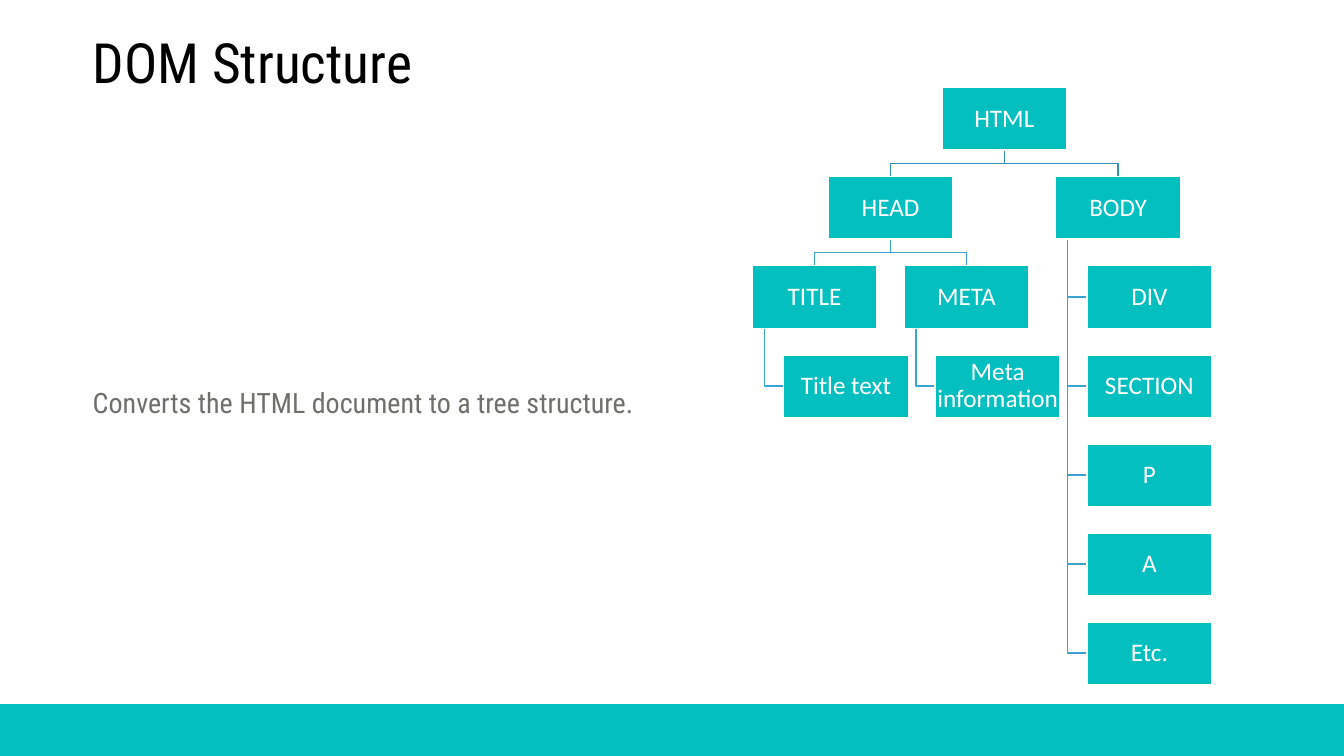
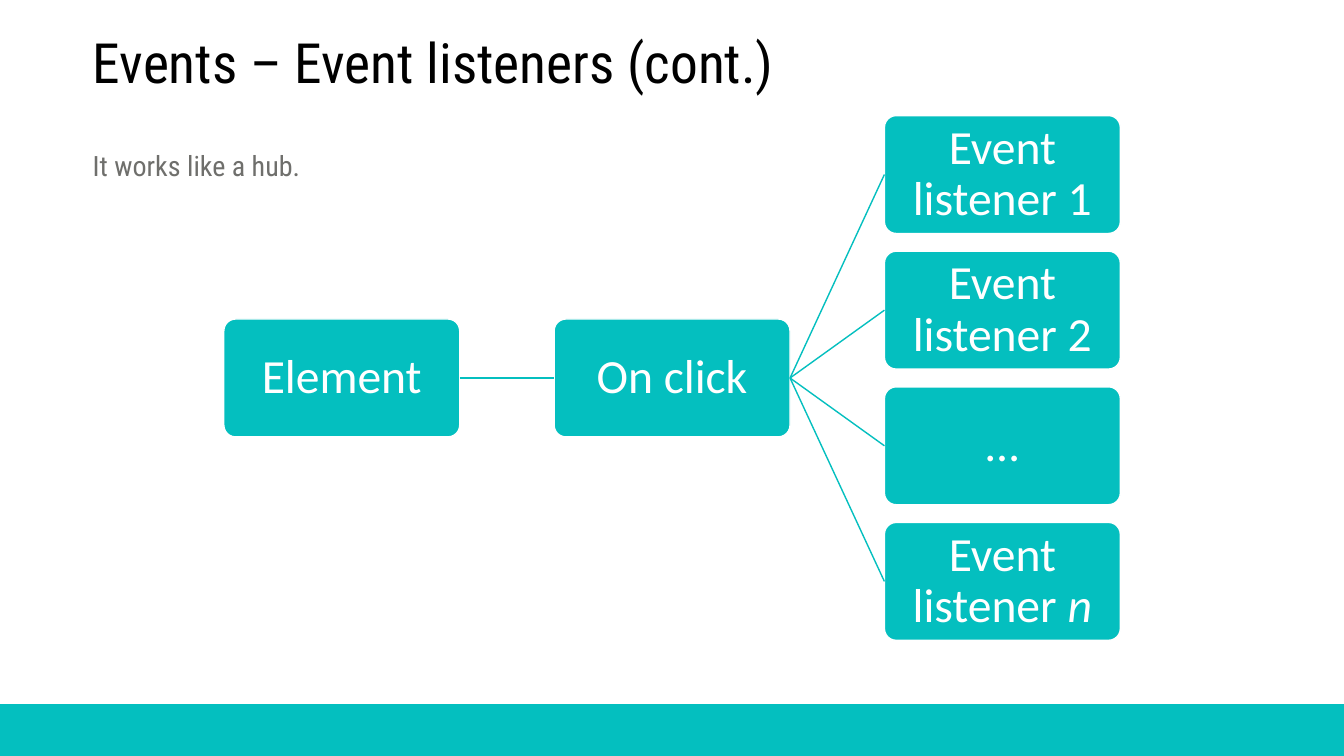
from pptx import Presentation
from pptx.dml.color import RGBColor
from pptx.enum.shapes import MSO_CONNECTOR as Conn, MSO_SHAPE as Shape
from pptx.enum.text import MSO_ANCHOR as Anchor, MSO_AUTO_SIZE as Auto, PP_ALIGN as Align
from pptx.oxml import parse_xml
from pptx.oxml.ns import nsdecls
from pptx.util import Inches, Pt

# Content: each node is a name and its children
TREE = ("HTML", [
    ("HEAD", [
        ("TITLE", [("Title text", [])]),
        ("META", [("Meta information", [])]),
    ]),
    ("BODY", [(name, []) for name in ("DIV", "SECTION", "P", "A", "Etc.")]),
])
# Each hub column holds boxes; a box is its plain text and an italic ending
HUB = [
    [("Element", "")],
    [("On click", "")],
    [("Event listener 1", ""), ("Event listener 2", ""), ("…", ""), ("Event listener ", "n")],
]

# Shared style
TEAL, WHITE, BLACK, GREY = "04BFBF", "FFFFFF", "000000", "6F6F6C"
TOP_LINK, LOW_LINK = "3591B9", "3CA4D2"
HEAD_FONT, BOX_FONT = "Roboto Condensed", "Calibri"
WIDE, HIGH, BAND = 13.33, 7.5, 0.51
LEFT = 0.92


def rgb(code):
    return RGBColor.from_string(code)


def place(shape, x, y, w, h):
    shape.left, shape.top, shape.width, shape.height = map(Inches, (x, y, w, h))


def style(frame, size, font, color, align, anchor, sides):
    """Format a whole text frame; sides are left, top, right and bottom insets."""
    frame.word_wrap, frame.auto_size = True, Auto.NONE
    frame.vertical_anchor = anchor
    (frame.margin_left, frame.margin_top,
     frame.margin_right, frame.margin_bottom) = map(Inches, sides)
    for para in frame.paragraphs:
        para.alignment, para.line_spacing = align, 0.9
        para.space_before = Pt(0)
        for run in para.runs:
            run.font.size, run.font.name = Pt(size), font
            run.font.color.rgb = rgb(color)


def add_box(slide, kind, x, y, w, h, edge):
    box = slide.shapes.add_shape(kind, *map(Inches, (x, y, w, h)))
    box.shadow.inherit = False
    box.fill.solid()
    box.fill.fore_color.rgb = rgb(TEAL)
    box.line.color.rgb = rgb(edge)
    box.line.width = Pt(1)
    return box


def add_slide(deck, title, body, top, height):
    """Start a slide with its band, title and body text."""
    slide = deck.slides.add_slide(deck.slide_layouts[5])
    add_box(slide, Shape.RECTANGLE, 0, HIGH - BAND, WIDE, BAND, TEAL)
    sides = (0, 0.05, 0.1, 0.05)
    head = slide.shapes.title
    place(head, LEFT, 0.36, 10.16, 0.64)
    head.text_frame.text = title
    style(head.text_frame, 39.6, HEAD_FONT, BLACK, Align.LEFT, Anchor.BOTTOM, sides)
    note = slide.shapes.add_textbox(*map(Inches, (LEFT, top, 11.5, height)))
    note.text_frame.text = body
    style(note.text_frame, 20, HEAD_FONT, GREY, Align.LEFT, Anchor.MIDDLE, sides)
    return slide


# Tree: leaves hang below their parent, other children spread out beneath it
NODE_W, NODE_H = 1.24, 0.62
TREE_X, TREE_Y = 7.46, 0.87
COL = 1.505
ROW = 5.3 / 6
HANG, STEM = 0.31, 0.12


def lay_out(node, row, col, nodes, links):
    """Collect nodes and links; return the node's left and the next free column."""
    name, kids = node
    y = TREE_Y + row * ROW
    foot = y + NODE_H
    if all(not kid[1] for kid in kids):
        x = TREE_X + col * COL
        col += 1
        for step, (leaf, _) in enumerate(kids, 1):
            kid_y = y + step * ROW
            nodes.append((leaf, x + HANG, kid_y))
            mid = kid_y + NODE_H / 2
            links.append((LOW_LINK, [(x + STEM, foot), (x + STEM, mid), (x + HANG, mid)]))
    else:
        lefts = []
        for kid in kids:
            left, col = lay_out(kid, row + 1, col, nodes, links)
            lefts.append(left)
        x = (lefts[0] + lefts[-1]) / 2
        mid = x + NODE_W / 2
        low = y + ROW
        bend = (foot + low) / 2
        for left in lefts:
            end = left + NODE_W / 2
            links.append((LOW_LINK if row else TOP_LINK,
                          [(mid, foot), (mid, bend), (end, bend), (end, low)]))
    nodes.append((name, x, y))
    return x, col


def add_path(slide, color, points):
    first, *rest = [(Inches(x), Inches(y)) for x, y in points]
    pen = slide.shapes.build_freeform(*first)
    pen.add_line_segments(rest, close=False)
    path = pen.convert_to_shape()
    path.shadow.inherit = False
    path.fill.background()
    path.line.color.rgb = rgb(color)
    path.line.width = Pt(1)


def draw_tree(slide):
    nodes, links = [], []
    lay_out(TREE, 0, 0, nodes, links)
    for color, points in links:
        add_path(slide, color, points)
    for name, x, y in nodes:
        box = add_box(slide, Shape.RECTANGLE, x, y, NODE_W, NODE_H, WHITE)
        box.text_frame.text = name
        style(box.text_frame, 18, BOX_FONT, WHITE, Align.CENTER, Anchor.MIDDLE, [0.01] * 4)


# Hub: columns centred on the slide's middle, gaps in proportion to the boxes
HUB_X, HUB_W = 2.22, 2.34
HUB_H = HUB_W / 2
GAP_X, GAP_Y = 0.4 * HUB_W, 0.15 * HUB_H


def add_link(slide, start, end):
    link = slide.shapes.add_connector(Conn.STRAIGHT, 0, 0, 0, 0)
    link.begin_connect(start, 3)
    link.end_connect(end, 1)
    link.line.color.rgb = rgb(TEAL)
    link.line.width = Pt(1)
    link._element.spPr.append(parse_xml(f"<a:effectLst {nsdecls('a')}/>"))


def draw_hub(slide):
    source = None
    for col, items in enumerate(HUB):
        x = HUB_X + col * (HUB_W + GAP_X)
        top = (HIGH - len(items) * (HUB_H + GAP_Y) + GAP_Y) / 2
        for row, (text, slant) in enumerate(items):
            y = top + row * (HUB_H + GAP_Y)
            box = add_box(slide, Shape.ROUNDED_RECTANGLE, x, y, HUB_W, HUB_H, WHITE)
            box.adjustments[0] = 0.1
            box.text_frame.text = text
            if slant:
                run = box.text_frame.paragraphs[0].add_run()
                run.text, run.font.italic = slant, True
            style(box.text_frame, 34, BOX_FONT, WHITE, Align.CENTER, Anchor.MIDDLE, [0.05] * 4)
            if source is not None:
                add_link(slide, source, box)
        source = box


def main():
    deck = Presentation()
    deck.slide_width, deck.slide_height = Inches(WIDE), Inches(HIGH)
    draw_tree(add_slide(deck, "DOM Structure",
                        "Converts the HTML document to a tree structure.", 1.27, 5.49))
    draw_hub(add_slide(deck, "Events – Event listeners (cont.)",
                       "It works like a hub.", 1.41, 0.5))
    deck.save("out.pptx")


if __name__ == "__main__":
    main()
